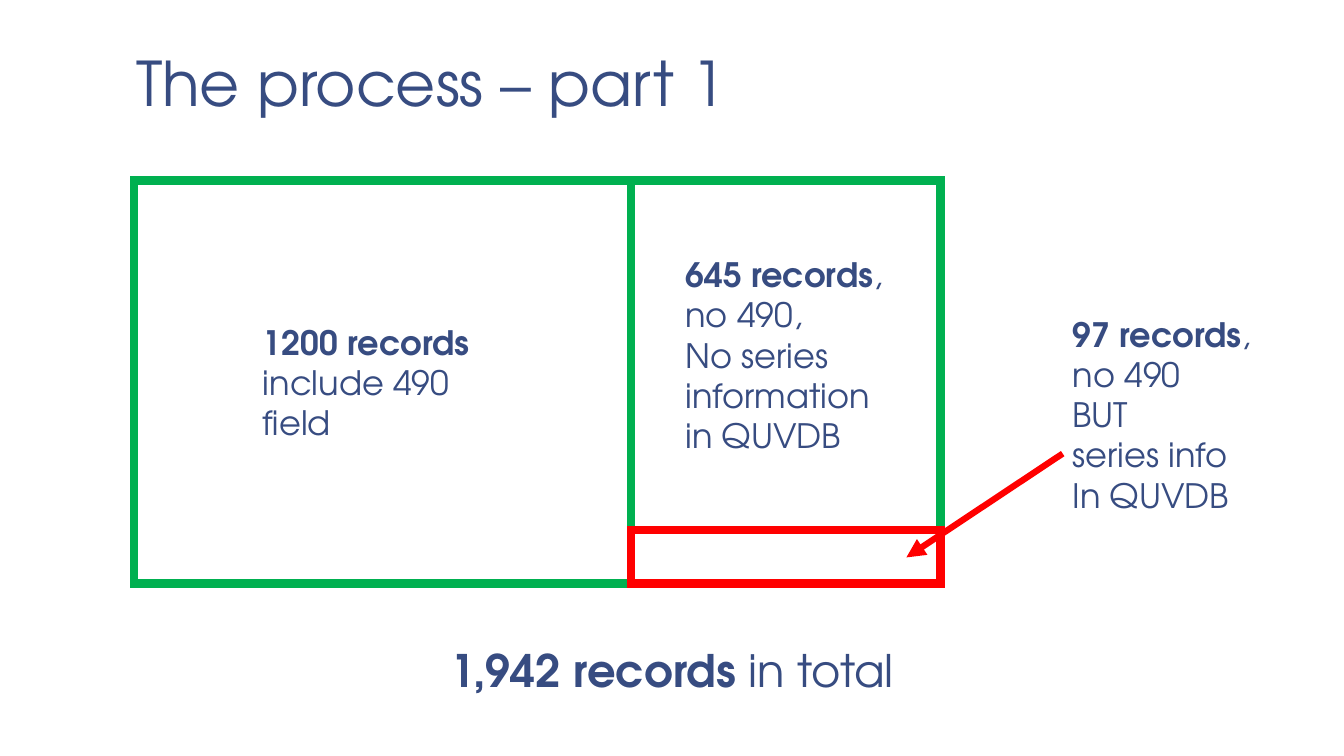
"""Build a slide that splits 1,942 records into three groups."""
from lxml import etree
from pptx import Presentation
from pptx.dml.color import RGBColor
from pptx.enum.shapes import MSO_CONNECTOR, MSO_SHAPE
from pptx.enum.text import MSO_ANCHOR, PP_ALIGN
from pptx.oxml.ns import qn
from pptx.util import Inches, Pt

RECTANGLE = MSO_SHAPE.RECTANGLE
STRAIGHT = MSO_CONNECTOR.STRAIGHT
LEFT, CENTER = PP_ALIGN.LEFT, PP_ALIGN.CENTER
BOTTOM = MSO_ANCHOR.BOTTOM

FONT = "TeX Gyre Adventor"
NAVY, GREEN, RED = "374C81", "00B050", "FF0000"
BORDER = 6

TITLE = "The process – part 1"
TITLE_BOX = (1.22, 0.08, 11.11, 1.17)

ALL_RECORDS = (1.33, 1.79, 8, 4)
SPLIT_X = 6.26
NO_SERIES_HEIGHT = 3.47
SERIES_HEIGHT = 0.53
ARROW = ((10.54, 4.5), (8.99, 5.53))

LABELS = [
    ((3.83, 6.33, 5.67, 0.64), 32, CENTER,
     [[("1,942 records ", True), ("in total", False)]]),
    ((2.51, 3.14, 2.58, 1.31), 24, LEFT,
     [[("1200 records", True)], [("include 490 field", False)]]),
    ((6.7, 2.47, 2.22, 2.52), 24, LEFT,
     [[("645 records", True), (",", False)], [("no 490,", False)],
      [("No series", False)], [("information", False)], [("in QUVDB", False)]]),
    ((10.54, 3.06, 2.5, 2.12), 24, LEFT,
     [[("97 records", True), (",", False)], [("no 490", False)],
      [("BUT", False)], [("series info", False)], [("In QUVDB", False)]]),
]


def color(value):
    return RGBColor.from_string(value)


def add_run(paragraph, text, size, bold=False):
    run = paragraph.add_run()
    run.text = text
    run.font.name = FONT
    run.font.size = Pt(size)
    run.font.bold = bold
    run.font.color.rgb = color(NAVY)


def add_title(slide):
    title = slide.shapes.title
    title.left, title.top, title.width, title.height = map(Inches, TITLE_BOX)
    frame = title.text_frame
    frame.vertical_anchor = BOTTOM
    frame.margin_left = frame.margin_right = Inches(0.13)
    frame.margin_top = frame.margin_bottom = Inches(0.07)
    paragraph = frame.paragraphs[0]
    paragraph.alignment = LEFT
    paragraph.line_spacing = 0.85
    add_run(paragraph, TITLE, 44)


def add_label(slide, box, size, alignment, lines):
    frame = slide.shapes.add_textbox(*map(Inches, box)).text_frame
    frame.word_wrap = True
    for index, runs in enumerate(lines):
        paragraph = frame.add_paragraph() if index else frame.paragraphs[0]
        paragraph.alignment = alignment
        for text, bold in runs:
            add_run(paragraph, text, size, bold)


def add_outline(slide, box, line_color):
    shape = slide.shapes.add_shape(RECTANGLE, *map(Inches, box))
    shape.shadow.inherit = False
    shape.fill.background()
    shape.line.color.rgb = color(line_color)
    shape.line.width = Pt(BORDER)
    etree.SubElement(shape.line._get_or_add_ln(), qn("a:miter"), lim="800000")


def add_line(slide, start, end, line_color, width):
    connector = slide.shapes.add_connector(STRAIGHT, *map(Inches, start + end))
    connector.line.color.rgb = color(line_color)
    connector.line.width = Pt(width)
    etree.SubElement(connector._element.spPr, qn("a:effectLst"))
    return connector


def main():
    presentation = Presentation()
    presentation.slide_width = Inches(13.33)
    presentation.slide_height = Inches(7.5)
    slide = presentation.slides.add_slide(presentation.slide_layouts[5])
    add_title(slide)

    left, top, width, height = ALL_RECORDS
    bottom = top + height
    split_width = left + width - SPLIT_X
    add_outline(slide, ALL_RECORDS, GREEN)
    add_outline(slide, (SPLIT_X, top, split_width, NO_SERIES_HEIGHT), GREEN)
    for label in LABELS:
        add_label(slide, *label)

    arrow = add_line(slide, *ARROW, RED, 4.5)
    etree.SubElement(arrow.line._get_or_add_ln(), qn("a:tailEnd"), type="triangle")
    add_line(slide, (SPLIT_X, top), (SPLIT_X, bottom), GREEN, BORDER)
    add_outline(slide, (SPLIT_X, bottom - SERIES_HEIGHT, split_width, SERIES_HEIGHT), RED)
    presentation.save("out.pptx")


if __name__ == "__main__":
    main()
